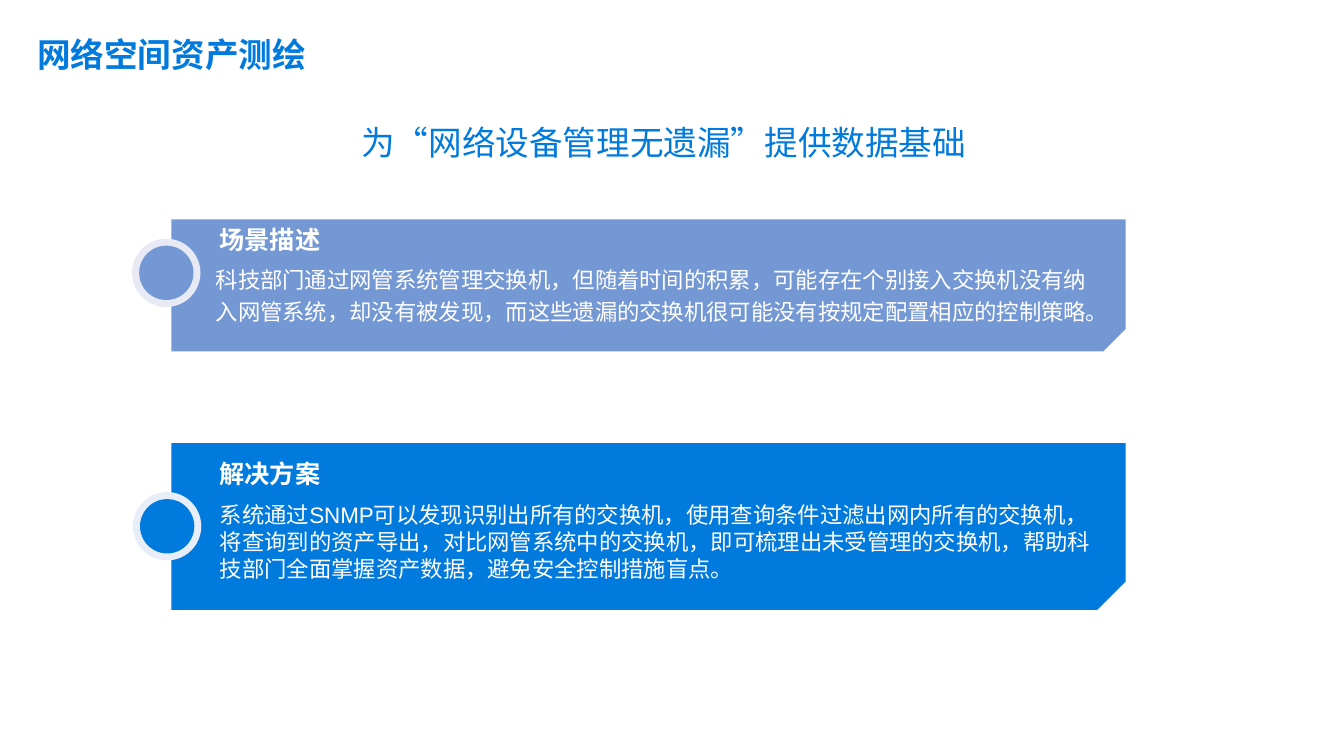
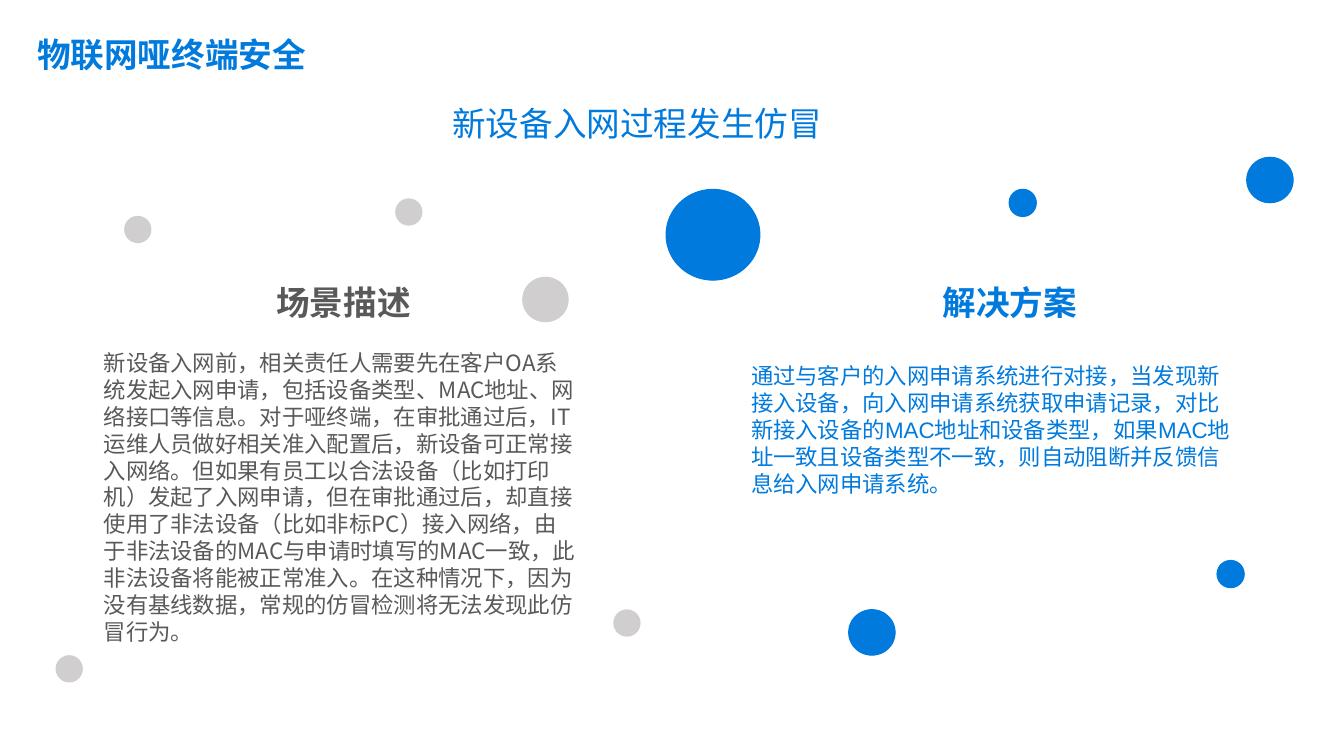
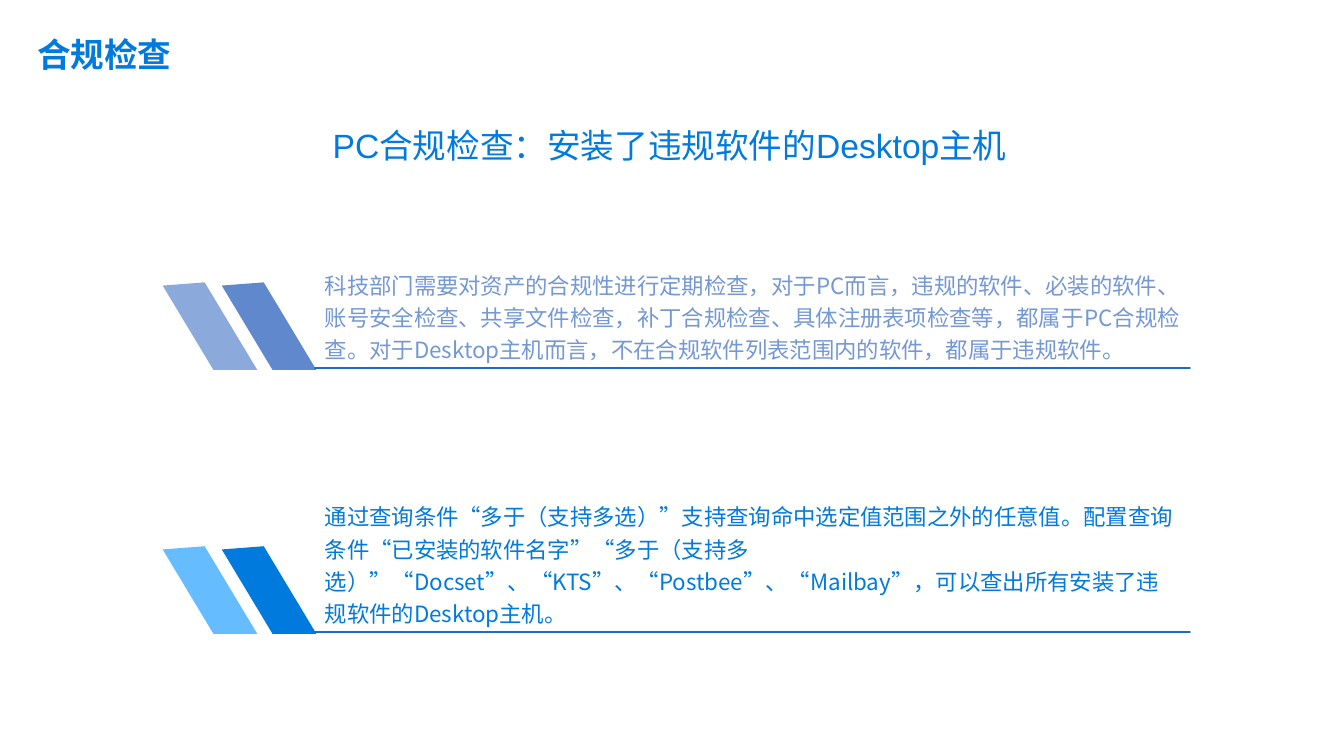
"""Build three slides on network asset mapping, terminal security and compliance checks."""
import pptx
import pptx.dml.color
import pptx.enum.lang
import pptx.enum.shapes
import pptx.enum.text
import pptx.oxml
import pptx.oxml.ns
import pptx.util

Pt = pptx.util.Pt
RGBColor = pptx.dml.color.RGBColor
MSO_SHAPE = pptx.enum.shapes.MSO_SHAPE
PP_ALIGN = pptx.enum.text.PP_ALIGN
MSO_ANCHOR = pptx.enum.text.MSO_ANCHOR

BLUE = RGBColor(0x00, 0x7A, 0xDD)
PERIWINKLE = RGBColor(0x74, 0x98, 0xD4)
PERIWINKLE_LIGHT = RGBColor(0x8B, 0xA9, 0xDB)
PERIWINKLE_DARK = RGBColor(0x5F, 0x88, 0xCD)
SKY = RGBColor(0x65, 0xBC, 0xFF)
RULE_BLUE = RGBColor(0x1D, 0x6D, 0xC2)
RING_LAVENDER = RGBColor(0xE7, 0xE9, 0xF4)
RING_ICE = RGBColor(0xE8, 0xEE, 0xF8)
GRAY = RGBColor(0xD0, 0xCE, 0xCE)
DARK_GRAY = RGBColor(0x59, 0x59, 0x59)
WHITE = RGBColor(0xFF, 0xFF, 0xFF)

LATIN_FONT = "Arial"
CHINESE_FONT = "Noto Sans CJK SC"


def add_text(text, *, shape, size=16, color=BLUE, font=LATIN_FONT, bold=False,
             align=PP_ALIGN.LEFT, anchor=MSO_ANCHOR.TOP, spacing=1.0, wrap=True):
    frame = shape.text_frame
    frame.word_wrap = wrap
    frame.vertical_anchor = anchor
    paragraph = frame.paragraphs[0]
    paragraph.alignment = align
    paragraph.line_spacing = spacing
    run = paragraph.add_run()
    run.text = text
    run.font.size = Pt(size)
    run.font.bold = bold
    run.font.color.rgb = color
    run.font.name = font
    run.font.language_id = pptx.enum.lang.MSO_LANGUAGE_ID.SIMPLIFIED_CHINESE
    east_asian = pptx.oxml.parse_xml(f'<a:ea {pptx.oxml.ns.nsdecls("a")} typeface="{CHINESE_FONT}"/>')
    run._r.get_or_add_rPr().append(east_asian)


def paint(shape, color, outlined=False):
    shape.shadow.inherit = False
    shape.fill.solid()
    shape.fill.fore_color.rgb = color
    if outlined:
        shape.line.color.rgb = color
        shape.line.width = Pt(0.75)
    else:
        shape.line.fill.background()


presentation = pptx.Presentation()
presentation.slide_width = Pt(960)
presentation.slide_height = Pt(540)

headers = [
    ("网络空间资产测绘", "为“网络设备管理无遗漏”提供数据基础", (251, 83.5, 446.5, 36), False),
    ("物联网哑终端安全", "新设备入网过程发生仿冒", (316, 70, 278.5, 36), False),
    ("合规检查", "PC合规检查：安装了违规软件的Desktop主机", (230.5, 85.5, 505.5, 36), True),
]
slides = []
for title, subtitle, subtitle_box, wrap in headers:
    slide = presentation.slides.add_slide(presentation.slide_layouts[6])
    title_box = slide.shapes.add_textbox(Pt(19.5), Pt(20.5), Pt(784), Pt(36))
    add_text(title, shape=title_box, size=24, font=CHINESE_FONT, bold=True)
    add_text(subtitle, shape=slide.shapes.add_textbox(*map(Pt, subtitle_box)), size=24, wrap=wrap)
    slides.append(slide)
mapping_slide, terminal_slide, compliance_slide = slides

panels = [
    ("场景描述",
     "科技部门通过网管系统管理交换机，但随着时间的积累，可能存在个别接入交换机没有纳入网管系统，却没有被发现，"
     "而这些遗漏的交换机很可能没有按规定配置相应的控制策略。",
     PERIWINKLE, RING_LAVENDER, (156.7, 94.4), (94.4, 170.5), 157, (147, 182.8, 651, 87), 1.2),
    ("解决方案",
     "系统通过SNMP可以发现识别出所有的交换机，使用查询条件过滤出网内所有的交换机，将查询到的资产导出，"
     "对比网管系统中的交换机，即可梳理出未受管理的交换机，帮助科技部门全面掌握资产数据，避免安全控制措施盲点。",
     BLUE, RING_ICE, (316.6, 119), (95, 351.5), 324, (150, 354.5, 648, 104), 1.0),
]
for heading, body, color, ring_color, (top, height), ring, heading_top, body_box, spacing in panels:
    panel = mapping_slide.shapes.add_shape(
        MSO_SHAPE.SNIP_1_RECTANGLE, Pt(122.5), Pt(top), Pt(681.5), Pt(height))
    panel.adjustments[0] = 0.17
    panel.element.spPr.xfrm.set("flipV", "1")
    paint(panel, color)
    for inset, disc_color in ((0, ring_color), (5, color)):
        diameter = Pt(48.8 - 2 * inset)
        disc = mapping_slide.shapes.add_shape(
            MSO_SHAPE.OVAL, Pt(ring[0] + inset), Pt(ring[1] + inset), diameter, diameter)
        paint(disc, disc_color)
    add_text(body, shape=mapping_slide.shapes.add_textbox(*map(Pt, body_box)),
             color=WHITE, spacing=spacing)
    heading_box = mapping_slide.shapes.add_textbox(Pt(149.7), Pt(heading_top), Pt(86.5), Pt(29))
    add_text(heading, shape=heading_box, size=18, color=WHITE, bold=True, wrap=False)

SMALL, MEDIUM, LARGE = (19.5, 19.5), (33.2, 32.5), (67, 64.8)
bubbles = {
    GRAY: [(282.3, 141.7, SMALL), (88.7, 154.2, SMALL), (39.7, 468, SMALL),
           (438.1, 435.3, SMALL), (373, 197.7, MEDIUM)],
    BLUE: [(475.8, 135.3, LARGE), (606.2, 435.5, MEDIUM), (869.3, 400.3, SMALL),
           (720.8, 135.2, SMALL), (890.5, 112.3, MEDIUM)],
}
for color, places in bubbles.items():
    for left, top, (width, height) in places:
        bubble = terminal_slide.shapes.add_shape(
            MSO_SHAPE.OVAL, Pt(left), Pt(top), Pt(width), Pt(height))
        paint(bubble, color, outlined=color == BLUE)

columns = [
    ("场景描述",
     "新设备入网前，相关责任人需要先在客户OA系统发起入网申请，包括设备类型、MAC地址、网络接口等信息。"
     "对于哑终端，在审批通过后，IT运维人员做好相关准入配置后，新设备可正常接入网络。"
     "但如果有员工以合法设备（比如打印机）发起了入网申请，但在审批通过后，"
     "却直接使用了非法设备（比如非标PC）接入网络，由于非法设备的MAC与申请时填写的MAC一致，"
     "此非法设备将能被正常准入。在这种情况下，因为没有基线数据，常规的仿冒检测将无法发现此仿冒行为。",
     DARK_GRAY, CHINESE_FONT, 152.2, (67, 245.9, 353.5, 146)),
    ("解决方案",
     "通过与客户的入网申请系统进行对接，当发现新接入设备，向入网申请系统获取申请记录，"
     "对比新接入设备的MAC地址和设备类型，如果MAC地址一致且设备类型不一致，则自动阻断并反馈信息给入网申请系统。",
     BLUE, LATIN_FONT, 628, (529.4, 255.3, 359.5, 185)),
]
for heading, body, color, font, heading_left, body_box in columns:
    heading_box = terminal_slide.shapes.add_textbox(Pt(heading_left), Pt(198), Pt(186.5), Pt(39.5))
    add_text(heading, shape=heading_box, size=24, color=color, bold=True, align=PP_ALIGN.CENTER)
    add_text(body, shape=terminal_slide.shapes.add_textbox(*map(Pt, body_box)),
             color=color, font=font)

STRIPE = [(146.2, 201.7), (183.8, 264.3), (152.5, 264.3), (116.2, 204)]
STRIPE_STEP = 42.2
ROW_STEP = 188.5
RULE_LEFT, RULE_RIGHT = 224.9, 849.9
TEXT_TOP, RULE_TOP = 172.2, 263
checks = [
    ("科技部门需要对资产的合规性进行定期检查，对于PC而言，违规的软件、必装的软件、账号安全检查、共享文件检查，"
     "补丁合规检查、具体注册表项检查等，都属于PC合规检查。"
     "对于Desktop主机而言，不在合规软件列表范围内的软件，都属于违规软件。",
     PERIWINKLE, (PERIWINKLE_LIGHT, PERIWINKLE_DARK)),
    ("通过查询条件“多于（支持多选）”支持查询命中选定值范围之外的任意值。"
     "配置查询条件“已安装的软件名字”“多于（支持多选）”“Docset”、“KTS”、“Postbee”、“Mailbay”，"
     "可以查出所有安装了违规软件的Desktop主机。",
     BLUE, (SKY, BLUE)),
]
for row, (body, color, stripe_colors) in enumerate(checks):
    offset = row * ROW_STEP
    for column, stripe_color in enumerate(stripe_colors):
        points = [(Pt(x + column * STRIPE_STEP), Pt(y + offset)) for x, y in STRIPE]
        builder = compliance_slide.shapes.build_freeform(*points[0])
        builder.add_line_segments(points[1:], close=True)
        paint(builder.convert_to_shape(), stripe_color)
    rule_start = (Pt(RULE_LEFT), Pt(RULE_TOP + offset))
    text_corner = (Pt(RULE_LEFT), Pt(TEXT_TOP + offset))
    builder = compliance_slide.shapes.build_freeform(*rule_start)
    builder.add_line_segments([(Pt(RULE_RIGHT), rule_start[1]), rule_start], close=True)
    builder.move_to(*text_corner)
    builder.add_line_segments([text_corner, text_corner], close=True)
    underlined_text = builder.convert_to_shape()
    underlined_text.shadow.inherit = False
    underlined_text.fill.background()
    underlined_text.line.color.rgb = RULE_BLUE
    underlined_text.line.width = Pt(1.5)
    add_text(body, shape=underlined_text, color=color, font=CHINESE_FONT,
             anchor=MSO_ANCHOR.BOTTOM, spacing=1.2)

presentation.save("out.pptx")
